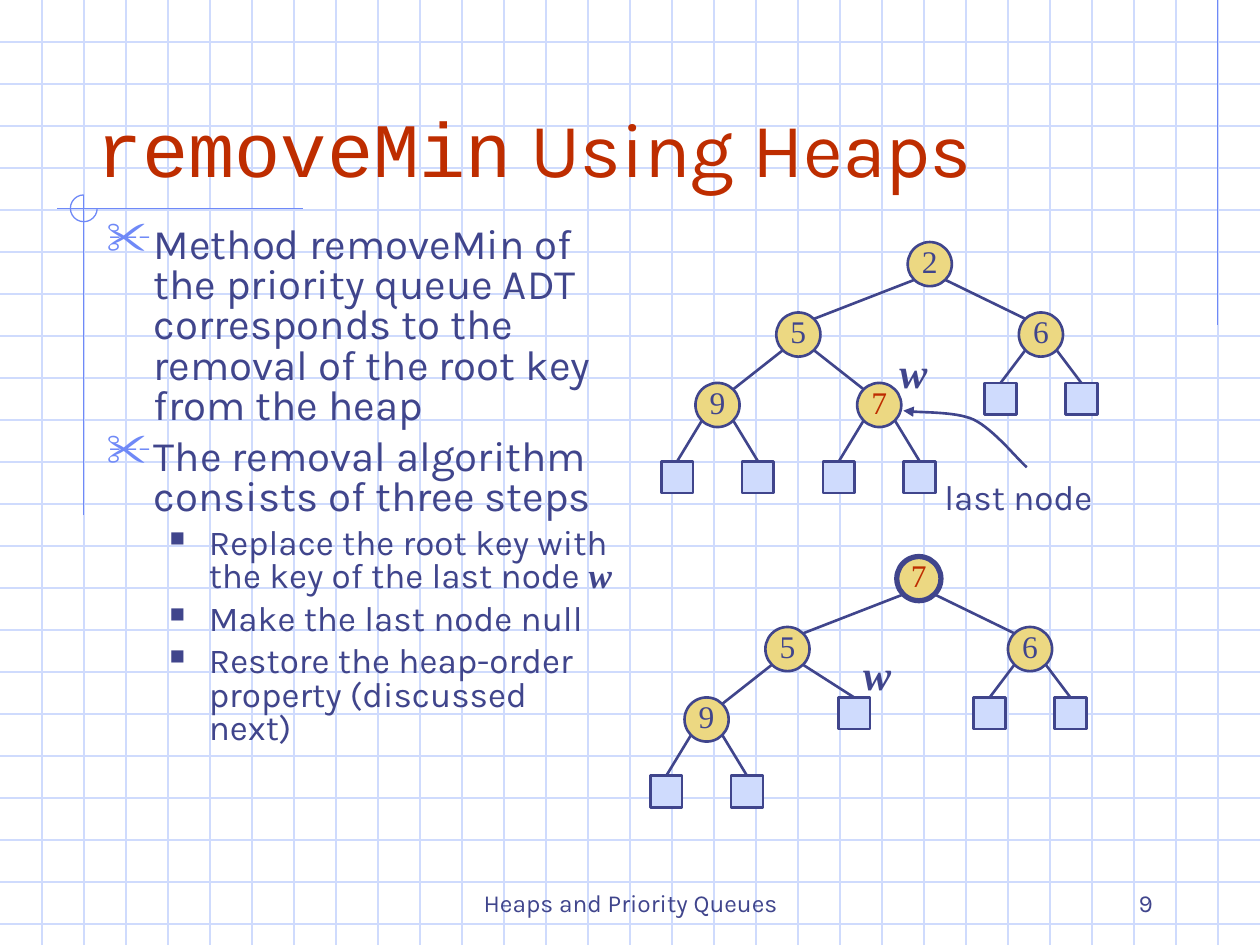
"""Build the slide on removing the minimum key from a heap."""
from dataclasses import dataclass

from lxml.etree import SubElement
from pptx import Presentation
from pptx.dml.color import RGBColor
from pptx.enum.shapes import MSO_CONNECTOR, MSO_SHAPE
from pptx.enum.text import MSO_ANCHOR, PP_ALIGN
from pptx.oxml.ns import qn
from pptx.util import Cm, Pt


@dataclass(frozen=True)
class Theme:
    ink: str = "40458C"
    accent: str = "BE2D00"
    grid: str = "CFDBFD"
    rail: str = "6F89F7"
    node: str = "ECD882"
    sans: str = "Karla"
    serif: str = "Times New Roman"
    mono: str = "Courier New"
    title: int = 44
    body: int = 24
    step: int = 20
    key: int = 18
    footer: int = 14
    thin: float = 0.75
    edge: float = 1.5
    bold: float = 3


WIDTH, HEIGHT = 25.4, 19.05
CELL = WIDTH / 30
COL = 0.815
ROW_TOPS = (0, 1.42, 2.84, 4.42)
NODE, LEAF = 0.89, 0.64
REACH = 0.32


def assign(target, values):
    for name, value in values.items():
        setattr(target, name, value)


class Deck:
    def __init__(self, slide, theme):
        self.slide, self.theme = slide, theme

    def stroke(self, line, color, weight):
        line.color.rgb = RGBColor.from_string(color)
        line.width = Pt(weight)

    def line(self, x1, y1, x2, y2, color, weight):
        cx = self.slide.shapes.add_connector(
            MSO_CONNECTOR.STRAIGHT, Cm(x1), Cm(y1), Cm(x2), Cm(y2))
        self.stroke(cx.line, color, weight)
        SubElement(cx._element.spPr, qn("a:effectLst"))

    def shape(self, kind, x, y, size, fill, color, weight):
        sp = self.slide.shapes.add_shape(kind, Cm(x), Cm(y), Cm(size), Cm(size))
        sp.shadow.inherit = False
        if fill:
            sp.fill.solid()
            sp.fill.fore_color.rgb = RGBColor.from_string(fill)
        else:
            sp.fill.background()
        self.stroke(sp.line, color, weight)
        return sp

    def run(self, p, text, size, name=None, color=None, **fmt):
        r = p.add_run()
        r.text = text
        assign(r.font, {"name": name or self.theme.sans, "size": Pt(size), **fmt})
        r.font.color.rgb = RGBColor.from_string(color or self.theme.ink)

    def box(self, x, y, w, h, **fmt):
        tf = self.slide.shapes.add_textbox(Cm(x), Cm(y), Cm(w), Cm(h)).text_frame
        assign(tf, {"word_wrap": True, **fmt})
        return tf

    def label(self, box, text, size, align=PP_ALIGN.CENTER, frame=None, **fmt):
        p = self.box(*box, **(frame or {})).paragraphs[0]
        p.alignment = align
        self.run(p, text, size, **fmt)

    def bullet(self, p, char, color, percent, margin, hang):
        pPr = p._p.get_or_add_pPr()
        pPr.set("marL", str(Cm(margin)))
        pPr.set("indent", str(-Cm(hang)))
        SubElement(SubElement(pPr, qn("a:buClr")), qn("a:srgbClr"), val=color)
        SubElement(pPr, qn("a:buSzPct"), val=str(percent * 1000))
        SubElement(pPr, qn("a:buChar"), char=char)

    def bullets(self, box, items):
        t = self.theme
        tf = self.box(*box)
        styles = (
            (t.body, 6, ("✂", t.rail, 110, 0.95, 0.95)),
            (t.step, 5, ("■", t.ink, 60, 2.06, 0.79)),
        )
        for i, (level, runs) in enumerate(items):
            p = tf.add_paragraph() if i else tf.paragraphs[0]
            size, before, mark = styles[level]
            self.bullet(p, *mark)
            assign(p, {"level": level, "line_spacing": 0.8,
                       "space_before": Pt(before if i else 0)})
            for text, fmt in runs:
                self.run(p, text, size, **fmt)

    def node(self, x, y, key, color, weight):
        t = self.theme
        sp = self.shape(MSO_SHAPE.OVAL, x - NODE / 2, y, NODE, t.node, t.ink, weight)
        tf = sp.text_frame
        assign(tf, {"margin_left": 0, "margin_right": 0, "margin_top": 0,
                    "margin_bottom": Cm(0.13), "word_wrap": False,
                    "vertical_anchor": MSO_ANCHOR.MIDDLE})
        tf.paragraphs[0].alignment = PP_ALIGN.CENTER
        self.run(tf.paragraphs[0], key, t.key, name=t.serif, color=color)

    def heap(self, x, y, tree, marked, weights, row=0):
        """Draw a nested (key, column, children) tree; a bare column is a leaf."""
        t = self.theme
        top = y + ROW_TOPS[row]
        if not isinstance(tree, tuple):
            cx = x + tree * COL
            self.shape(MSO_SHAPE.RECTANGLE, cx - LEAF / 2, top, LEAF, t.grid, t.ink, t.edge)
            return cx, top, 0
        key, col, *children = tree
        cx, cy = x + col * COL, top + NODE / 2
        self.node(cx, top, key, t.accent if key == marked else t.ink,
                  weights.get(key, t.edge))
        for side, child in zip((-1, 1), children):
            end_x, end_y, reach = self.heap(x, y, child, marked, weights, row + 1)
            self.line(cx + side * REACH, cy + REACH, end_x - side * reach, end_y,
                      t.ink, t.edge)
        return cx, cy - REACH, REACH

    def curve(self, start, beziers, color, weight, steps=16):
        points = []
        p0 = start
        for p1, p2, p3 in beziers:
            for i in range(1, steps + 1):
                u = i / steps
                v = 1 - u
                points.append(tuple(
                    Cm(v ** 3 * a + 3 * v * v * u * b + 3 * v * u * u * c + u ** 3 * d)
                    for a, b, c, d in zip(p0, p1, p2, p3)))
            p0 = p3
        fb = self.slide.shapes.build_freeform(Cm(start[0]), Cm(start[1]))
        fb.add_line_segments(points, close=False)
        sp = fb.convert_to_shape()
        sp.shadow.inherit = False
        sp.fill.background()
        self.stroke(sp.line, color, weight)
        SubElement(sp.line._get_or_add_ln(), qn("a:tailEnd"), type="triangle")

    def backdrop(self):
        t = self.theme
        for i in range(1, 23):
            self.line(0, i * CELL, WIDTH, i * CELL, t.grid, t.thin)
        for i in range(1, 30):
            self.line(i * CELL, 0, i * CELL, HEIGHT, t.grid, t.thin)
        for ends in ((24.55, 0, 24.55, 6.55), (6.1, 4.21, 1.14, 4.21),
                     (1.69, 3.93, 1.69, 10.39)):
            self.line(*ends, t.rail, t.thin)
        arc = self.shape(MSO_SHAPE.ARC, 1.42, 3.93, 0.54, None, t.rail, t.thin)
        arc.adjustments[0], arc.adjustments[1] = 0, 162


def main():
    prs = Presentation()
    prs.slide_width, prs.slide_height = Cm(WIDTH), Cm(HEIGHT)
    t = Theme()
    deck = Deck(prs.slides.add_slide(prs.slide_layouts[6]), t)
    deck.backdrop()

    bottom = {"vertical_anchor": MSO_ANCHOR.BOTTOM}
    deck.label((8.69, 17.35, 8.05, 1.27), "Heaps and Priority Queues", t.footer, frame=bottom)
    deck.label((18.21, 17.35, 5.28, 1.27), "9", t.footer, PP_ALIGN.RIGHT, bottom)
    p = deck.box(1.69, 0.85, 21.59, 3.17, **bottom).paragraphs[0]
    deck.run(p, "removeMin", t.title, t.mono, t.accent)
    deck.run(p, " Using Heaps", t.title, color=t.accent)

    variable = {"name": t.serif, "bold": True, "italic": True}
    deck.bullets((1.9, 4.45, 10.8, 12.7), (
        (0, [("Method removeMin of the priority queue ADT corresponds to "
              "the removal of the root key from the heap", {})]),
        (0, [("The removal algorithm consists of three steps", {})]),
        (1, [("Replace the root key with the key of the last node ", {}), ("w", variable)]),
        (1, [("Make the last node null", {})]),
        (1, [("Restore the heap-order property (discussed next)", {})]),
    ))

    nine, six = ("9", 1, 0, 2), ("6", 9, 8, 10)
    before = ("2", 6.25, ("5", 3, nine, ("7", 5, 4, 6)), six)
    after = ("7", 6.25, ("5", 3, nine, 4.65), six)
    deck.heap(13.65, 4.88, before, "7", {})
    deck.heap(13.43, 11.22, after, "7", {"7": t.bold})

    deck.curve((20.7, 9.42), (((20.52, 9.27), (20.04, 8.66), (19.63, 8.46)),
                              ((19.23, 8.28), (18.49, 8.33), (18.21, 8.28))), t.ink, t.edge)
    free = {"word_wrap": False}
    deck.label((18.75, 9.47, 3.56, 1.12), "last node", t.step, frame=free)
    for x, y in ((17.88, 6.86), (17.15, 12.95)):
        deck.label((x, y, 1.07, 1.27), "w", t.body, frame=free, **variable)
    prs.save("out.pptx")


if __name__ == "__main__":
    main()
